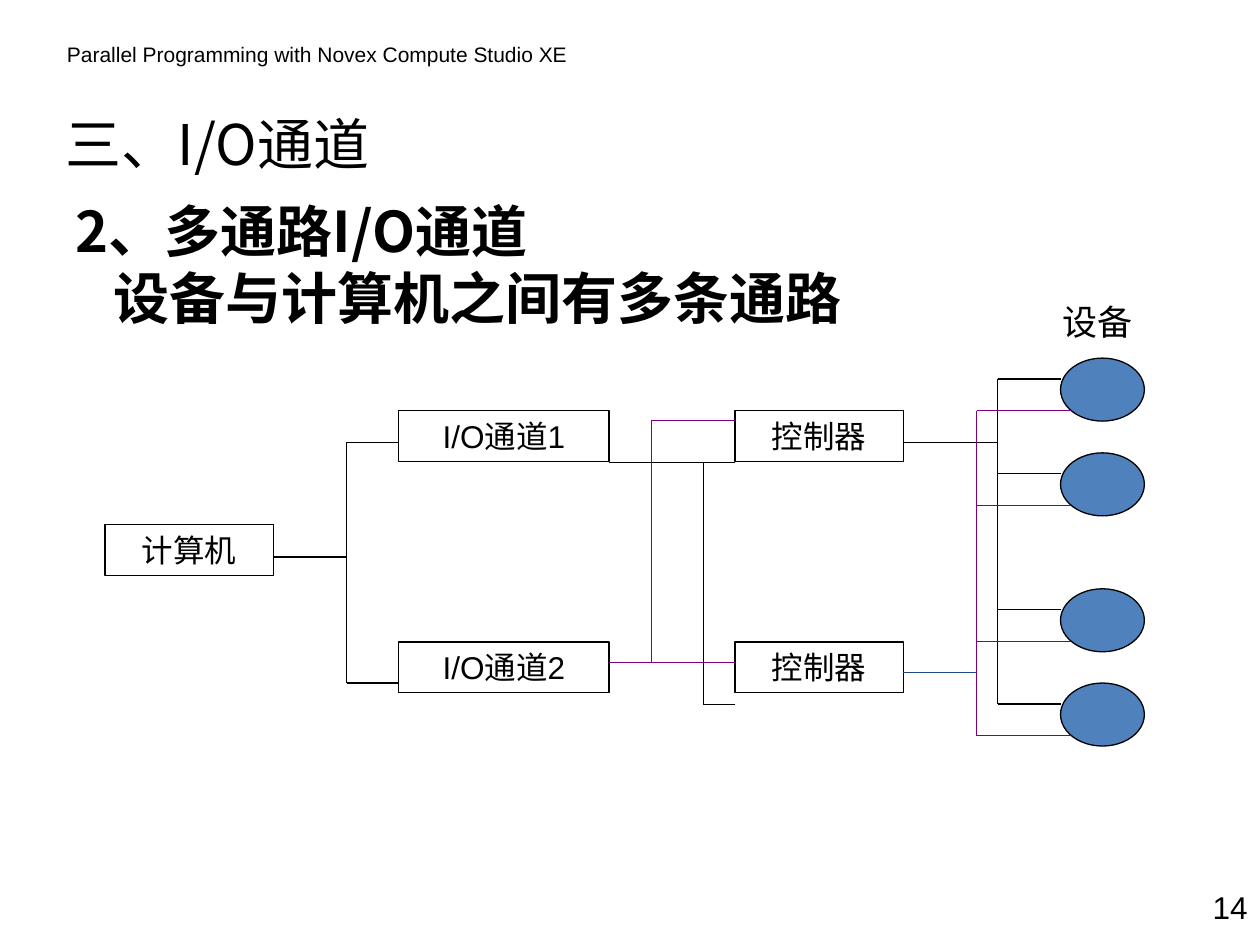
from lxml import etree
from pptx import Presentation
from pptx.dml.color import RGBColor
from pptx.enum.shapes import MSO_CONNECTOR, MSO_SHAPE
from pptx.enum.text import MSO_ANCHOR, PP_ALIGN
from pptx.oxml.ns import qn
from pptx.util import Cm, Pt

BLACK = RGBColor(0x00, 0x00, 0x00)
PURPLE = RGBColor(0x80, 0x00, 0x80)
NAVY = RGBColor(0x1F, 0x49, 0x7D)
BLUE = RGBColor(0x4F, 0x81, 0xBD)
LATIN = "Arial"
CJK = "Noto Sans CJK SC"

# Diagram grid, in centimetres
BOX_HEIGHT = 1.02
COMPUTER_X, CHANNEL_X, CONTROLLER_X = 2.12, 8.04, 14.82
CHANNEL_WIDTH, NARROW_WIDTH = 4.24, 3.39
UPPER_Y, MIDDLE_Y, LOWER_Y = 8.28, 10.58, 12.94
DEVICE_X, DEVICE_WIDTH, DEVICE_HEIGHT = 21.38, 1.69, 1.27
DEVICE_TOPS = [7.22, 9.13, 11.87, 13.77]
BLACK_DROP, PURPLE_DROP = 0.42, 1.06  # where each bus meets a device


def add_run(paragraph, text, size, latin=LATIN, bold=False):
    run = paragraph.add_run()
    run.text = text
    run.font.name = latin
    run.font.size = Pt(size)
    run.font.bold = bold
    run.font.color.rgb = BLACK
    east_asian = etree.SubElement(run._r.rPr, qn("a:ea"))
    east_asian.set("typeface", CJK)


def add_label(slide, text, left, top, width, height, size, align=PP_ALIGN.LEFT):
    label = slide.shapes.add_textbox(Cm(left), Cm(top), Cm(width), Cm(height))
    label.text_frame.word_wrap = True
    paragraph = label.text_frame.paragraphs[0]
    paragraph.alignment = align
    add_run(paragraph, text, size)


def add_title(slide, text):
    title = slide.shapes.title
    title.left, title.top, title.width, title.height = Cm(1.07), Cm(1.93), Cm(14.4), Cm(1.9)
    title.text_frame.vertical_anchor = MSO_ANCHOR.MIDDLE
    paragraph = title.text_frame.paragraphs[0]
    paragraph.alignment = PP_ALIGN.LEFT
    add_run(paragraph, text, 32, CJK)


def add_body(slide, lines):
    body = slide.shapes.add_textbox(Cm(1.27), Cm(3.84), Cm(23.6), Cm(3.6))
    frame = body.text_frame
    frame.word_wrap = True
    for index, (text, indent) in enumerate(lines):
        paragraph = frame.add_paragraph() if index else frame.paragraphs[0]
        paragraph._p.get_or_add_pPr().set("marL", str(Cm(indent)))
        add_run(paragraph, text, 32, CJK, bold=True)


def add_outlined(slide, kind, left, top, width, height):
    shape = slide.shapes.add_shape(kind, Cm(left), Cm(top), Cm(width), Cm(height))
    shape.shadow.inherit = False
    shape.line.color.rgb = BLACK
    shape.line.width = Pt(0.75)
    return shape


def add_box(slide, text, left, top, width):
    box = add_outlined(slide, MSO_SHAPE.RECTANGLE, left, top, width, BOX_HEIGHT)
    box.fill.background()
    box.text_frame.vertical_anchor = MSO_ANCHOR.MIDDLE
    paragraph = box.text_frame.paragraphs[0]
    paragraph.alignment = PP_ALIGN.CENTER
    add_run(paragraph, text, 18)


def add_device(slide, top):
    device = add_outlined(slide, MSO_SHAPE.OVAL, DEVICE_X, top, DEVICE_WIDTH, DEVICE_HEIGHT)
    device.fill.solid()
    device.fill.fore_color.rgb = BLUE


def add_wire(slide, x1, y1, x2, y2, color=BLACK):
    wire = slide.shapes.add_connector(MSO_CONNECTOR.STRAIGHT, Cm(x1), Cm(y1), Cm(x2), Cm(y2))
    wire.line.color.rgb = color
    wire.line.width = Pt(0.75)
    etree.SubElement(wire._element.spPr, qn("a:effectLst"))


def add_bus(slide, x, branch_ys, end_x, color=BLACK):
    """A vertical bus with a horizontal branch at each height."""
    add_wire(slide, x, min(branch_ys), x, max(branch_ys), color)
    for y in branch_ys:
        add_wire(slide, x, y, end_x, y, color)


def main():
    presentation = Presentation()
    presentation.slide_width, presentation.slide_height = Cm(25.4), Cm(19.05)
    slide = presentation.slides.add_slide(presentation.slide_layouts[5])

    # Header, title, body and page number
    add_label(slide, "Parallel Programming with Novex Compute Studio XE", 1.1, 0.71, 10.6, 0.76, 12)
    add_title(slide, "三、I/O通道")
    add_body(slide, [("2、多通路I/O通道", 0), ("设备与计算机之间有多条通路", 0.77)])
    add_label(slide, "14", 23.7, 17.78, 1.7, 1.02, 18, PP_ALIGN.RIGHT)

    # Computer, channels and controllers
    add_box(slide, "计算机", COMPUTER_X, MIDDLE_Y, NARROW_WIDTH)
    for number, top in enumerate((UPPER_Y, LOWER_Y), start=1):
        add_box(slide, f"I/O通道{number}", CHANNEL_X, top, CHANNEL_WIDTH)
        add_box(slide, "控制器", CONTROLLER_X, top, NARROW_WIDTH)

    # Devices
    add_label(slide, "设备", 21.17, 5.94, 2.33, 1.12, 20)
    for top in DEVICE_TOPS:
        add_device(slide, top)

    # Computer to channels
    add_wire(slide, COMPUTER_X + NARROW_WIDTH, 11.23, 6.99, 11.23)
    add_bus(slide, 6.99, [8.92, 13.77], CHANNEL_X)

    # Channels to controllers
    channel_right = CHANNEL_X + CHANNEL_WIDTH
    add_wire(slide, channel_right, 9.32, 14.18, 9.32)
    add_bus(slide, 14.18, [9.32, 14.2], CONTROLLER_X)
    add_wire(slide, channel_right, 13.36, 13.13, 13.36, PURPLE)
    add_bus(slide, 13.13, [8.48, 13.36], CONTROLLER_X, PURPLE)

    # Controllers to devices
    controller_right = CONTROLLER_X + NARROW_WIDTH
    add_wire(slide, controller_right, 8.92, 20.11, 8.92)
    add_bus(slide, 20.11, [top + BLACK_DROP for top in DEVICE_TOPS], DEVICE_X)
    add_wire(slide, controller_right, 13.56, 19.69, 13.56, NAVY)
    add_bus(slide, 19.69, [top + PURPLE_DROP for top in DEVICE_TOPS], 21.59, PURPLE)

    presentation.save("out.pptx")


if __name__ == "__main__":
    main()
